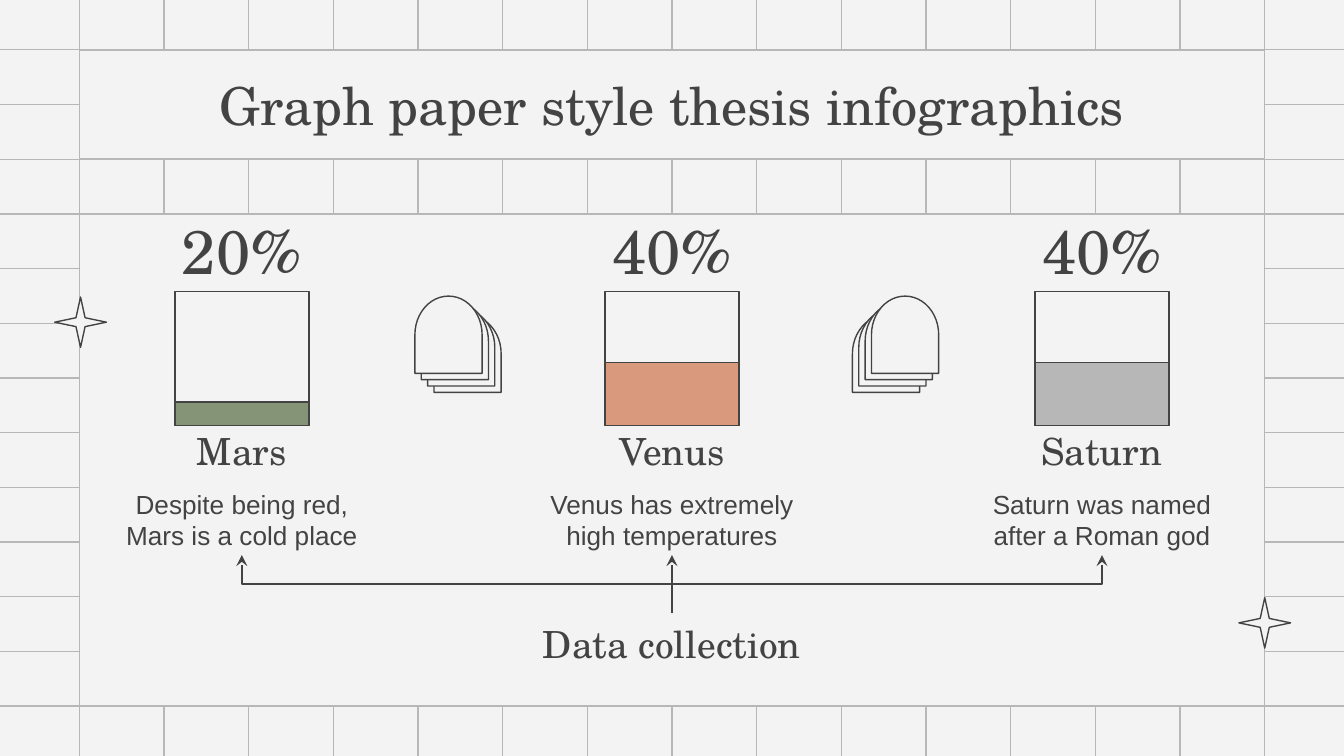
from collections import namedtuple
from dataclasses import dataclass
from itertools import product

from lxml.etree import SubElement
from pptx import Presentation
from pptx.dml.color import RGBColor
from pptx.enum.shapes import MSO_CONNECTOR as Link, MSO_SHAPE as Preset
from pptx.enum.text import MSO_ANCHOR as Anchor, MSO_AUTO_SIZE as AutoSize, PP_ALIGN as Align
from pptx.oxml.ns import qn
from pptx.util import Pt

Box = namedtuple("Box", "left top width height")
Planet = namedtuple("Planet", "name share fact level colour")


@dataclass(frozen=True)
class Theme:
    paper: str = "F3F3F3"
    grid: str = "B7B7B7"
    ink: str = "434343"
    green: str = "859477"
    orange: str = "D9997D"
    grey: str = "B7B7B7"
    serif: str = "TeX Gyre Schola"
    sans: str = "Arial"
    title: int = 28
    figure: int = 33
    heading: int = 20
    body: int = 14
    stroke: float = 0.75
    inset: float = 7.2


THEME = Theme()
WIDTH, HEIGHT = 720, 405
MID_X, MID_Y = WIDTH / 2, HEIGHT / 2
CELL_W, CELL_H = 45.36, 29.3
BLEED = 2.5
MARGIN_X = MID_X - 7 * CELL_W
MARGIN_Y = MID_Y - 6 * CELL_H
PANEL_WIDTH = 14 * CELL_W
TITLE_BOX = Box(MARGIN_X, MARGIN_Y, PANEL_WIDTH, 2 * CELL_H)
PANEL_BOX = Box(MARGIN_X, MARGIN_Y + 3 * CELL_H, PANEL_WIDTH, 9 * CELL_H)

PLANETS = [
    Planet("Mars", "20%", "Despite being red, Mars is a cold place", 12.6, THEME.green),
    Planet("Venus", "40%", "Venus has extremely high temperatures", 33.8, THEME.orange),
    Planet("Saturn", "40%", "Saturn was named after a Roman god", 33.8, THEME.grey),
]
PLANET_PITCH = 230.4
PLANET_WIDTH = 146.2


def set_line(shape, colour):
    shape.line.color.rgb = RGBColor.from_string(colour)
    shape.line.width = Pt(THEME.stroke)


def set_fill(shape, colour):
    shape.fill.solid()
    shape.fill.fore_color.rgb = RGBColor.from_string(colour)


def add_outline(slide, preset, box, fill=None, line=THEME.ink):
    shape = slide.shapes.add_shape(preset, *map(Pt, box))
    shape.shadow.inherit = False
    set_line(shape, line)
    if fill:
        set_fill(shape, fill)
    else:
        shape.fill.background()
    return shape


def add_link(slide, kind, start, end, colour):
    link = slide.shapes.add_connector(kind, *map(Pt, (*start, *end)))
    set_line(link, colour)
    SubElement(link.element.spPr, qn("a:effectLst"))
    return link


def write(shape, text, size, font=THEME.serif, anchor=Anchor.MIDDLE):
    frame = shape.text_frame
    frame.text = text
    layout = {"word_wrap": True, "auto_size": AutoSize.NONE, "vertical_anchor": anchor}
    layout.update({f"margin_{side}": Pt(THEME.inset) for side in ("left", "top", "right", "bottom")})
    for key, value in layout.items():
        setattr(frame, key, value)
    paragraph = frame.paragraphs[0]
    paragraph.alignment = Align.CENTER
    for key, value in {"name": font, "size": Pt(size)}.items():
        setattr(paragraph.font, key, value)
    paragraph.font.color.rgb = RGBColor.from_string(THEME.ink)


def add_label(slide, box, *args, **kwargs):
    write(slide.shapes.add_textbox(*map(Pt, box)), *args, **kwargs)


def draw_graph_paper(slide, box):
    """Rule the box in four quadrants, counting cells out from its centre."""
    mid_x, mid_y = box.left + box.width / 2, box.top + box.height / 2
    x_stops = (box.left, mid_x, box.left + box.width)
    y_stops = (box.top, mid_y, box.top + box.height)
    for column, half in product(range(-7, 8), range(2)):
        x = mid_x + column * CELL_W
        add_link(slide, Link.STRAIGHT, (x, y_stops[half]), (x, y_stops[half + 1]), THEME.grid)
    for row, half in product(range(-6, 7), range(2)):
        y = mid_y + row * CELL_H
        add_link(slide, Link.STRAIGHT, (x_stops[half], y), (x_stops[half + 1], y), THEME.grid)


def place_title(slide, box, text):
    title = slide.shapes.title
    for key, value in box._asdict().items():
        setattr(title, key, Pt(value))
    set_fill(title, THEME.paper)
    set_line(title, THEME.grid)
    write(title, text, THEME.title)
    title.element.getparent().append(title.element)  # bring above the grid


def draw_planet(slide, box, planet):
    left, top, width, _ = box
    side = 71.8
    gauge = Box(left + (width - side) / 2, top + 41.6, side, side)
    floor = gauge.top + side
    add_label(slide, Box(left, top, width, 39), planet.share, THEME.figure)
    add_outline(slide, Preset.RECTANGLE, gauge)
    level_box = gauge._replace(top=floor - planet.level, height=planet.level)
    add_outline(slide, Preset.RECTANGLE, level_box, planet.colour)
    add_label(slide, Box(left, floor - 0.5, width, 33), planet.name, THEME.heading, anchor=Anchor.BOTTOM)
    add_label(slide, Box(left, floor + 26.3, width, 43), planet.fact, THEME.body, THEME.sans, Anchor.TOP)


def draw_arches(slide, box, lean):
    """Stack four arches, the rear ones lower and shifted to the side of lean."""
    count, step = 4, 3.4
    shift = step * (count - 1)
    width, height = box.width - shift, box.height - shift
    front = box.left if lean > 0 else box.left + shift
    for depth in reversed(range(count)):
        mid_x = front + lean * depth * step + width / 2
        mid_y = box.top + depth * step + height / 2
        upright = Box(mid_x - height / 2, mid_y - width / 2, height, width)
        add_outline(slide, Preset.FLOWCHART_DELAY, upright, THEME.paper).rotation = 270


def draw_branch(slide, start, end):
    """Arrow that rises, runs sideways and rises again: an elbow turned upright."""
    mid_x, mid_y = (start[0] + end[0]) / 2, (start[1] + end[1]) / 2
    reach, rise = abs(end[0] - start[0]) / 2, (start[1] - end[1]) / 2
    side = -1 if end[0] < start[0] else 1
    branch = add_link(slide, Link.ELBOW, (mid_x - side * rise, mid_y - reach),
                      (mid_x + side * rise, mid_y + reach), THEME.ink)
    branch.rotation = 270 if side > 0 else 90
    SubElement(branch.line._get_or_add_ln(), qn("a:tailEnd"), type="stealth")


def draw_source(slide, box, targets, text):
    add_label(slide, box, text, THEME.heading)
    for x in targets:
        draw_branch(slide, (box.left + box.width / 2, box.top), (x, box.top - 31))


def draw_infographic(slide, box):
    add_outline(slide, Preset.RECTANGLE, box, THEME.paper, THEME.grid)
    mid_x = box.left + box.width / 2
    centres = [mid_x + (i - 1) * PLANET_PITCH for i in range(len(PLANETS))]
    for centre, planet in zip(centres, PLANETS):
        draw_planet(slide, Box(centre - PLANET_WIDTH / 2, box.top, PLANET_WIDTH, 183), planet)
    for offset, lean in ((-137.7, 1), (96.7, -1)):
        draw_arches(slide, Box(mid_x + offset, box.top + 44, 46.2, 51.6), lean)
    draw_source(slide, Box(mid_x - 94, box.top + 213.8, 188, 33), centres, "Data collection")
    for left, top in ((29.3, 159.1), (663.7, 320.2)):
        star = add_outline(slide, Preset.STAR_4_POINT, Box(left, top, 27.7, 27), THEME.paper)
        star.adjustments[0] = 0.125


def main():
    deck = Presentation()
    deck.slide_width, deck.slide_height = Pt(WIDTH), Pt(HEIGHT)
    slide = deck.slides.add_slide(deck.slide_layouts[5])
    set_fill(slide.background, THEME.paper)
    draw_graph_paper(slide, Box(-BLEED, -BLEED, WIDTH + 2 * BLEED, HEIGHT + 2 * BLEED))
    draw_infographic(slide, PANEL_BOX)
    place_title(slide, TITLE_BOX, "Graph paper style thesis infographics")
    deck.save("out.pptx")


if __name__ == "__main__":
    main()
